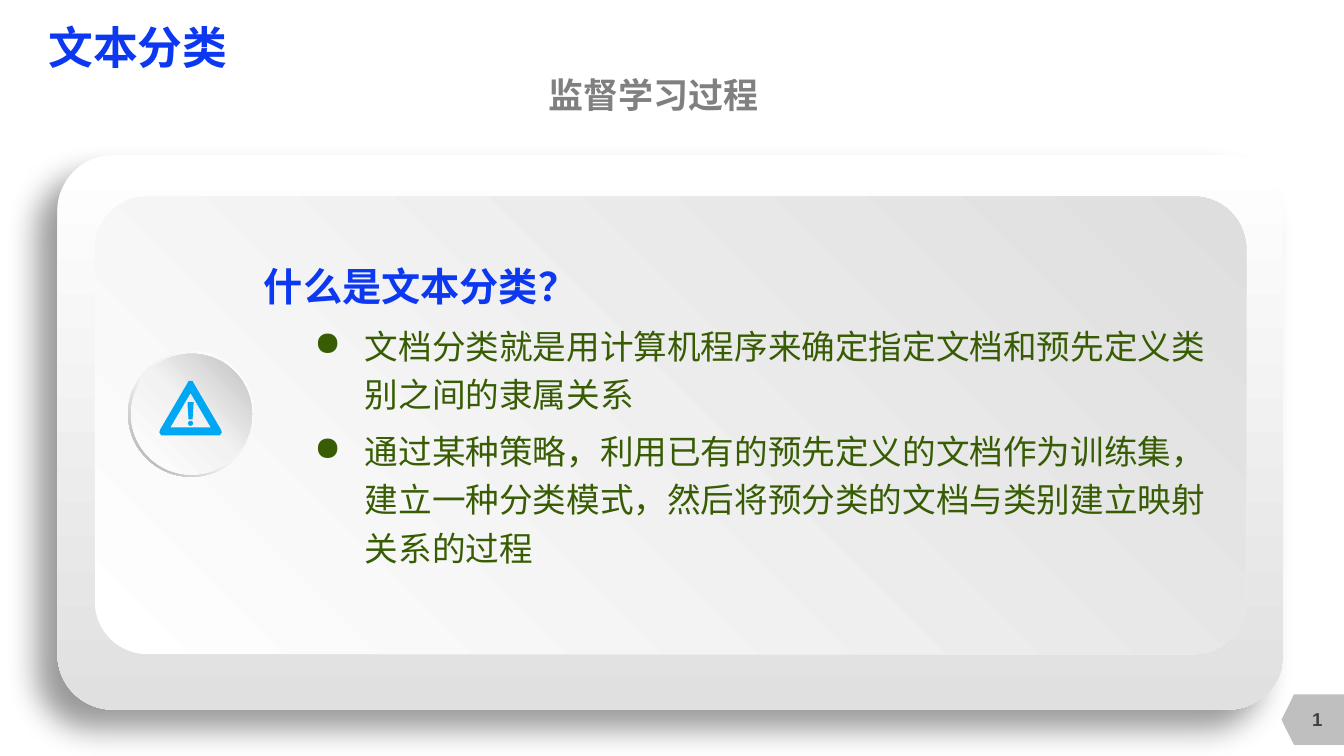
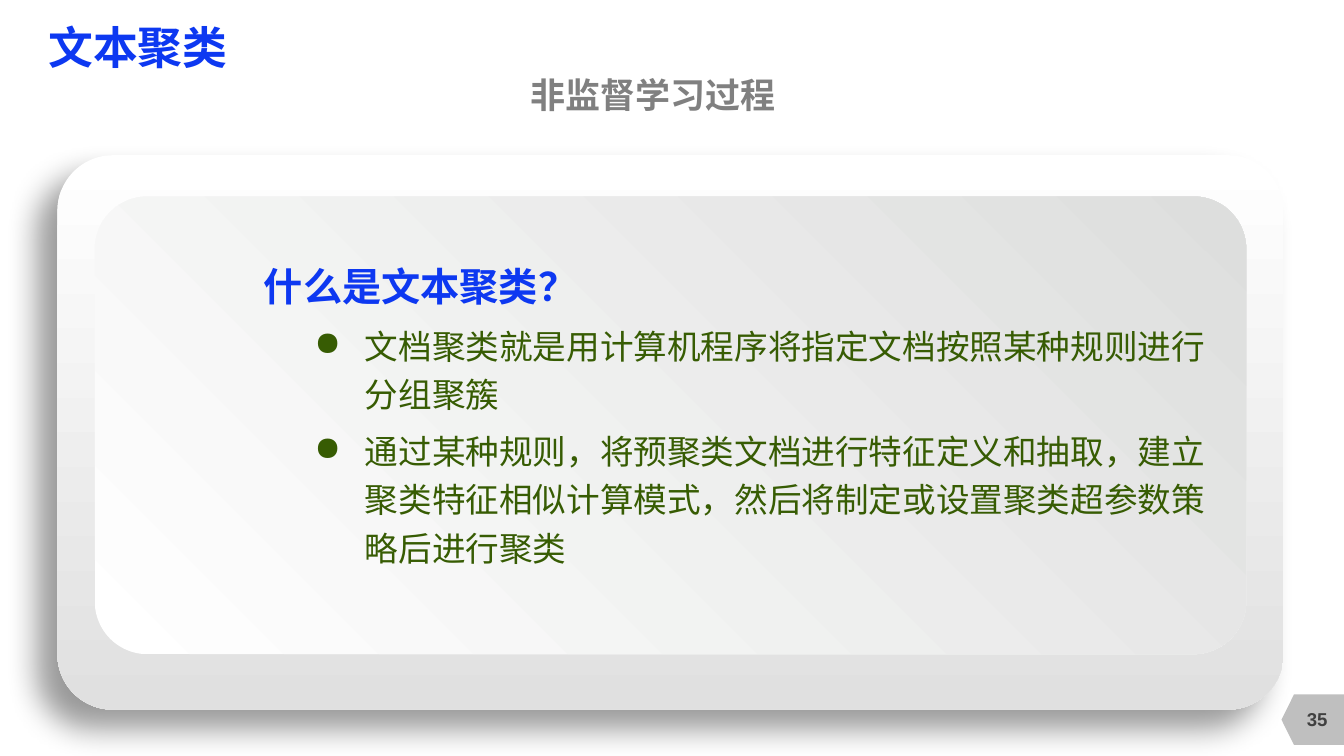
from math import cos, pi, sin

from lxml.etree import SubElement
from pptx import Presentation
from pptx.dml.color import RGBColor
from pptx.enum.shapes import MSO_SHAPE as Preset
from pptx.enum.text import MSO_ANCHOR as Anchor, MSO_AUTO_SIZE as AutoSize, PP_ALIGN as Align
from pptx.oxml.ns import qn
from pptx.util import Inches, Pt

BLUE = RGBColor(0x0D, 0x38, 0xF1)
SKY = RGBColor(0x00, 0xA7, 0xF3)
GREEN = RGBColor(0x37, 0x5C, 0x03)
GRAY = RGBColor(0x80, 0x80, 0x80)
DARK = RGBColor(0x40, 0x40, 0x40)
TAB_GRAY = RGBColor(0xBF, 0xBF, 0xBF)
WHITE = RGBColor(0xFF, 0xFF, 0xFF)
PALE = RGBColor(0xF2, 0xF2, 0xF2)
FRAME_GRAY = RGBColor(0xE0, 0xE0, 0xE0)
PANEL_GRAY = RGBColor(0xDD, 0xDE, 0xDD)
RING_GRAY = RGBColor(0xA6, 0xA6, 0xA6)

CJK_FONT = "Noto Sans CJK SC"
TITLE = {"name": "Arial", "size": Pt(32), "bold": True, "color": BLUE}
SUBTITLE = {"name": "Arial", "size": Pt(25), "bold": True, "color": GRAY}
PAGE = {"name": "Arial", "size": Pt(13.3), "bold": True, "color": DARK}
QUESTION = {"name": CJK_FONT, "size": Pt(28), "bold": True, "color": BLUE}
POINT = {"name": "Karla", "size": Pt(24), "bold": False, "color": GREEN}
CENTERED = {"alignment": Align.CENTER}
BULLETED = {"line_spacing": 1.2, "space_before": Pt(6), "level": 1}

SLIDES = [
    {
        "title": "文本分类",
        "subtitle": "监督学习过程",
        "page": "1",
        "question": "什么是文本分类？",
        "points": [
            "文档分类就是用计算机程序来确定指定文档和预先定义类别之间的隶属关系",
            "通过某种策略，利用已有的预先定义的文档作为训练集，建立一种分类模式，然后将预分类的文档与类别建立映射关系的过程",
        ],
        "warning": True,
    },
    {
        "title": "文本聚类",
        "subtitle": "非监督学习过程",
        "page": "35",
        "question": "什么是文本聚类？",
        "points": [
            "文档聚类就是用计算机程序将指定文档按照某种规则进行分组聚簇",
            "通过某种规则，将预聚类文档进行特征定义和抽取，建立聚类特征相似计算模式，然后将制定或设置聚类超参数策略后进行聚类",
        ],
        "warning": False,
    },
]

SIGN_CENTER = 1.89
DOT_CENTER_Y, DOT_RADIUS, DOT_STEPS = 4.2, 0.025, 16
TRIANGLE_HALF = [(0, 3.78), (0.02, 3.78), (0.03, 3.8), (0.3, 4.26), (0.31, 4.29), (0.29, 4.32), (0.26, 4.32)]
HOLE_HALF = [(0, 3.9), (0.2, 4.24)]
STROKE_HALF = [(0.03, 3.99), (0.03, 4.01), (0.02, 4.16)]


def set_values(target, values):
    """Set each named attribute of the target."""
    for name, value in values.items():
        setattr(target, name, value)


def write(paragraph, text, font_format, paragraph_format):
    """Write one formatted run into a paragraph."""
    set_values(paragraph, paragraph_format)
    run = paragraph.add_run()
    run.text = text
    font = run.font
    font.color.rgb = font_format["color"]
    set_values(font, {key: value for key, value in font_format.items() if key != "color"})
    SubElement(run._r.get_or_add_rPr(), qn("a:ea"), typeface=CJK_FONT)


def add_text(slide, box, text, font_format, paragraph_format, margin=None, anchor=Anchor.MIDDLE):
    """Add a wrapped text box and return its frame."""
    frame = slide.shapes.add_textbox(*map(Inches, box)).text_frame
    set_values(frame, {"word_wrap": True, "vertical_anchor": anchor})
    if margin is not None:
        sides = ("left", "top", "right", "bottom")
        set_values(frame, {f"margin_{side}": Inches(margin) for side in sides})
    write(frame.paragraphs[0], text, font_format, paragraph_format)
    return frame


def fill_gradient(shape, stops, angle):
    """Fill a shape with a linear gradient, its angle clockwise in degrees."""
    shape.fill.background()
    properties = shape._element.spPr
    empty_fill = properties.find(qn("a:noFill"))
    gradient = SubElement(properties, qn("a:gradFill"), rotWithShape="1")
    stop_list = SubElement(gradient, qn("a:gsLst"))
    for position, color in stops:
        stop = SubElement(stop_list, qn("a:gs"), pos=str(position * 1000))
        SubElement(stop, qn("a:srgbClr"), val=str(color))
    SubElement(gradient, qn("a:lin"), ang=str(angle * 60000), scaled="0")
    properties.replace(empty_fill, gradient)


def add_preset(slide, preset, box, fill, angle=0, adjustment=None):
    """Add an unlined preset shape with a solid or gradient fill."""
    shape = slide.shapes.add_shape(preset, *map(Inches, box))
    if adjustment is not None:
        shape.adjustments[0] = adjustment
    if isinstance(fill, RGBColor):
        shape.fill.solid()
        shape.fill.fore_color.rgb = fill
    else:
        fill_gradient(shape, fill, angle)
    shape.line.fill.background()
    shape.shadow.inherit = False
    return shape


def add_drop_shadow(shape):
    """Give a shape a soft shadow towards the lower left."""
    effects = shape._element.spPr.find(qn("a:effectLst"))
    shadow = SubElement(
        effects, qn("a:outerShdw"), blurRad=str(Pt(22)), dist=str(Pt(20)),
        dir=str(135 * 60000), algn="tr", rotWithShape="0",
    )
    color = SubElement(shadow, qn("a:srgbClr"), val="000000")
    SubElement(color, qn("a:alpha"), val="40000")


def mirror(half):
    """Complete a right half outline around the centre of the sign."""
    right = [(SIGN_CENTER + x, y) for x, y in half]
    left = [(SIGN_CENTER - x, y) for x, y in reversed(half)]
    return right + left


def add_warning(slide):
    """Add the round button with a warning sign."""
    ring = [(0, WHITE), (55, PALE), (100, RING_GRAY)]
    disc = [(0, WHITE), (51, PALE), (100, TAB_GRAY)]
    add_preset(slide, Preset.DONUT, (1.27, 3.48, 1.25, 1.25), ring, 135, 0.05)
    add_preset(slide, Preset.OVAL, (1.3, 3.51, 1.2, 1.2), disc, 315)
    angles = [2 * pi * step / DOT_STEPS for step in range(DOT_STEPS)]
    dot = [(SIGN_CENTER + DOT_RADIUS * cos(a), DOT_CENTER_Y + DOT_RADIUS * sin(a)) for a in angles]
    outlines = [mirror(half) for half in (TRIANGLE_HALF, HOLE_HALF, STROKE_HALF)] + [dot]
    outlines = [[(Inches(x), Inches(y)) for x, y in outline] for outline in outlines]
    builder = slide.shapes.build_freeform(*outlines[0][0])
    for outline in outlines:
        builder.move_to(*outline[0])
        builder.add_line_segments(outline[1:], close=True)
    sign = builder.convert_to_shape()
    sign.fill.solid()
    sign.fill.fore_color.rgb = SKY
    sign.line.fill.background()
    sign.shadow.inherit = False


def add_frame(slide, content):
    """Add the page tab, titles and panels that the slides share."""
    tab = add_preset(slide, Preset.FLOWCHART_OFFPAGE_CONNECTOR, (12.77, 6.83, 0.5, 0.62), TAB_GRAY)
    tab.rotation = 90
    add_text(slide, (12.73, 6.93, 0.67, 0.4), content["page"], PAGE, CENTERED)
    add_text(slide, (0.48, 0.2, 6.54, 0.52), content["title"], TITLE, {}, 0)
    add_text(slide, (3.48, 0.71, 6, 0.45), content["subtitle"], SUBTITLE, CENTERED, 0)
    frame_stops = [(0, WHITE), (100, FRAME_GRAY)]
    panel_stops = [(0, WHITE), (100, PANEL_GRAY)]
    outer = add_preset(slide, Preset.ROUNDED_RECTANGLE, (0.57, 1.54, 12.16, 5.5), frame_stops, 90, 0.1)
    add_drop_shadow(outer)
    add_preset(slide, Preset.ROUNDED_RECTANGLE, (0.94, 1.95, 11.42, 4.54), panel_stops, 315, 0.115)


def add_body(slide, content):
    """Add the question and its bulleted answers."""
    box = (2.52, 2.55, 9.7, 3.12)
    frame = add_text(slide, box, content["question"], QUESTION, {}, anchor=Anchor.TOP)
    frame.auto_size = AutoSize.SHAPE_TO_FIT_TEXT
    for point in content["points"]:
        paragraph = frame.add_paragraph()
        properties = paragraph._p.get_or_add_pPr()
        properties.set("marL", str(Inches(1)))
        properties.set("indent", str(Inches(-0.5)))
        SubElement(properties, qn("a:buChar"), char="●")
        write(paragraph, point, POINT, BULLETED)


def main():
    """Build and save the presentation."""
    presentation = Presentation()
    set_values(presentation, {"slide_width": Inches(13.33), "slide_height": Inches(7.5)})
    for content in SLIDES:
        slide = presentation.slides.add_slide(presentation.slide_layouts[6])
        add_frame(slide, content)
        add_body(slide, content)
        if content["warning"]:
            add_warning(slide)
    presentation.save("out.pptx")


if __name__ == "__main__":
    main()
